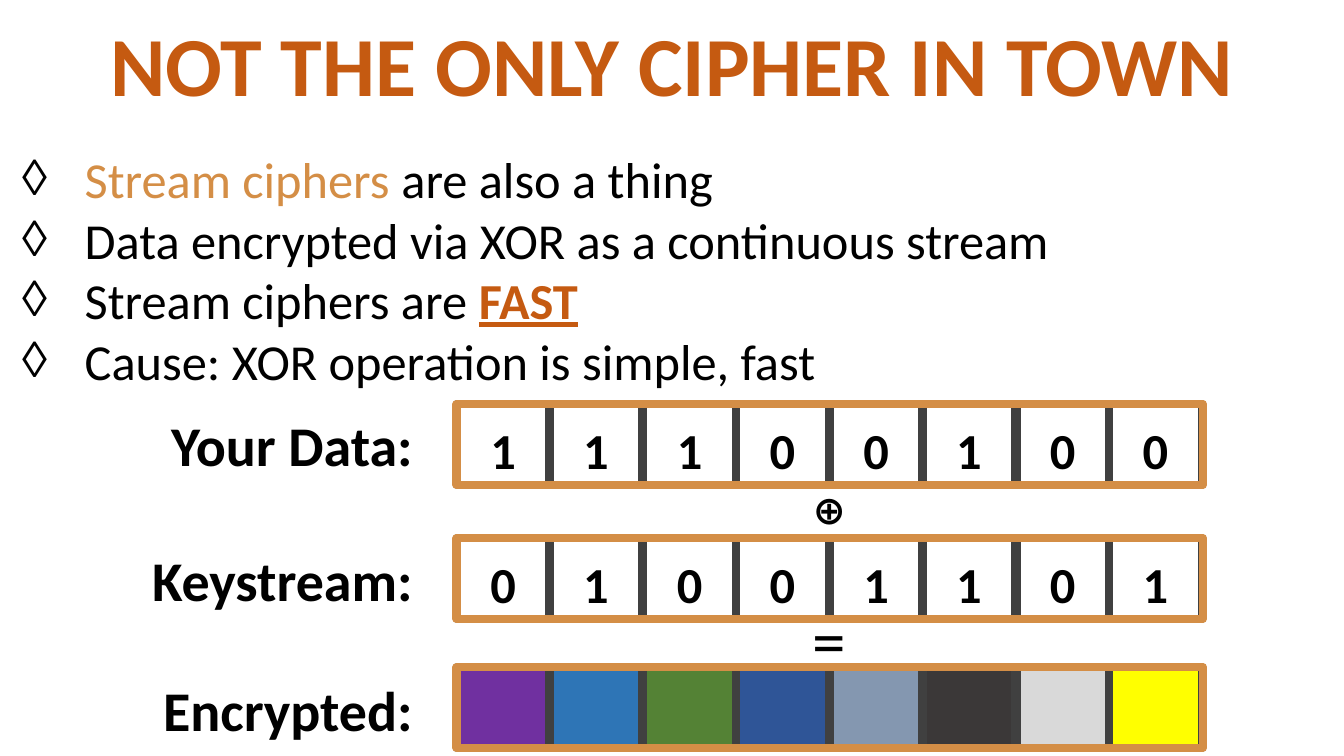
from lxml import etree
from pptx import Presentation
from pptx.dml.color import RGBColor
from pptx.enum.shapes import MSO_SHAPE
from pptx.enum.text import MSO_ANCHOR, MSO_AUTO_SIZE, PP_ALIGN
from pptx.oxml.ns import qn
from pptx.util import Emu, Pt

PX = 9144  # 100 px to the inch
RECTANGLE = MSO_SHAPE.RECTANGLE
LEFT, CENTER = PP_ALIGN.LEFT, PP_ALIGN.CENTER
MIDDLE, BOTTOM = MSO_ANCHOR.MIDDLE, MSO_ANCHOR.BOTTOM
NO_AUTOFIT = MSO_AUTO_SIZE.NONE

COLORS = {
    "black": "000000", "rust": "C55A11", "amber": "D48E46", "divider": "404040",
    "purple": "7030A0", "blue": "2E75B6", "green": "548235", "navy": "2F5597",
    "slate": "8497B0", "charcoal": "3B3838", "silver": "D9D9D9", "yellow": "FFFF00",
}


def add_run(paragraph, text, size, color="black", bold=False, underline=False):
    run = paragraph.add_run()
    run.text = text
    run.font.name = "Calibri"
    run.font.size = Pt(size)
    run.font.bold = bold
    run.font.underline = underline
    run.font.color.rgb = RGBColor.from_string(COLORS[color])


def add_box(left, top, width, height, line, fill=None):
    """Add a rectangle with a thick outline and an optional fill."""
    box = slide.shapes.add_shape(
        RECTANGLE, *[Emu(n * PX) for n in (left, top, width, height)])
    box.shadow.inherit = False
    box.line.color.rgb = RGBColor.from_string(COLORS[line])
    box.line.width = Pt(6)
    if fill:
        box.fill.solid()
        box.fill.fore_color.rgb = RGBColor.from_string(COLORS[fill])
    else:
        box.fill.background()
    return box


presentation = Presentation()
presentation.slide_width = Emu(1333 * PX)
presentation.slide_height = Emu(750 * PX)
slide = presentation.slides.add_slide(presentation.slide_layouts[1])

# Title
title = slide.shapes.title
title.left, title.top, title.width, title.height = [
    Emu(n * PX) for n in (0, 13, 1333, 99)]
title.text_frame.auto_size = NO_AUTOFIT
title.text_frame.vertical_anchor = MIDDLE
paragraph = title.text_frame.paragraphs[0]
paragraph.alignment = CENTER
add_run(paragraph, "NOT THE ONLY CIPHER IN TOWN", 60, "rust", bold=True)

# Bullet list
body = slide.placeholders[1]
body.left, body.top, body.width, body.height = [
    Emu(n * PX) for n in (12, 142, 1041, 252)]
body.text_frame.auto_size = NO_AUTOFIT
bullets = [
    [("Stream ciphers ", "amber", False), ("are also a thing", "black", False)],
    [("Data encrypted via XOR as a continuous stream", "black", False)],
    [("Stream ciphers are ", "black", False), ("FAST", "rust", True)],
    [("Cause: XOR operation is simple, fast", "black", False)],
]
for index, runs in enumerate(bullets):
    paragraph = body.text_frame.paragraphs[0] if index == 0 else body.text_frame.add_paragraph()
    properties = paragraph._p.get_or_add_pPr()
    properties.set("marL", str(62 * PX))
    properties.set("indent", str(-62 * PX))
    bullet_color = etree.SubElement(properties, qn("a:buClr"))
    etree.SubElement(bullet_color, qn("a:srgbClr"), val=COLORS["black"])
    etree.SubElement(properties, qn("a:buChar"), char="◊")
    paragraph.space_before = Pt(0)
    for text, color, emphasis in runs:
        add_run(paragraph, text, 36, color, bold=emphasis, underline=emphasis)

# Rows of eight cells, each inside an amber frame
ROW_LEFT, ROW_WIDTH, ROW_HEIGHT = 453, 740, 80
rows = [
    (401, "11100100"),
    (534, "01001101"),
    (662, ["purple", "blue", "green", "navy", "slate", "charcoal", "silver", "yellow"]),
]
for top, cells in rows:
    for column, value in enumerate(cells):
        left = ROW_LEFT + column * ROW_WIDTH // len(cells)
        fill = value if value in COLORS else None
        cell = add_box(left, top, 92, ROW_HEIGHT, "divider", fill)
        if not fill:
            cell.text_frame.vertical_anchor = BOTTOM
            paragraph = cell.text_frame.paragraphs[0]
            paragraph.alignment = CENTER
            add_run(paragraph, value, 36, bold=True)
    add_box(ROW_LEFT, top, ROW_WIDTH, ROW_HEIGHT, "amber")

# Row labels and operators
captions = [
    ("Your Data:", 160, 402, 262, 77, 40, True, LEFT),
    ("Keystream:", 141, 536, 281, 77, 40, True, LEFT),
    ("Encrypted:", 152, 665, 271, 77, 40, True, LEFT),
    ("⊕", 780, 477, 85, 57, 28, True, CENTER),
    ("=", 780, 589, 85, 91, 48, False, CENTER),
]
for text, left, top, width, height, size, bold, alignment in captions:
    caption = slide.shapes.add_textbox(*[Emu(n * PX) for n in (left, top, width, height)])
    caption.text_frame.word_wrap = alignment == CENTER
    paragraph = caption.text_frame.paragraphs[0]
    paragraph.alignment = alignment
    add_run(paragraph, text, size, bold=bold)

presentation.save("out.pptx")
